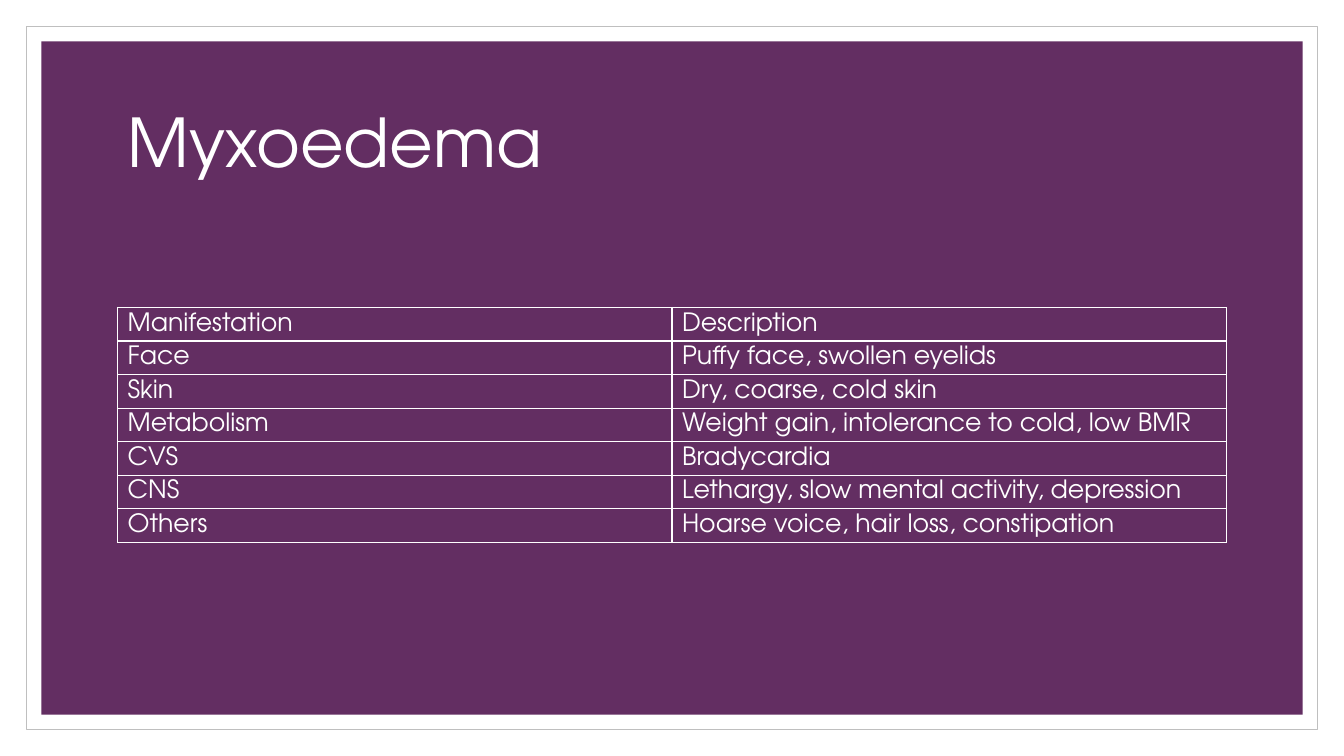
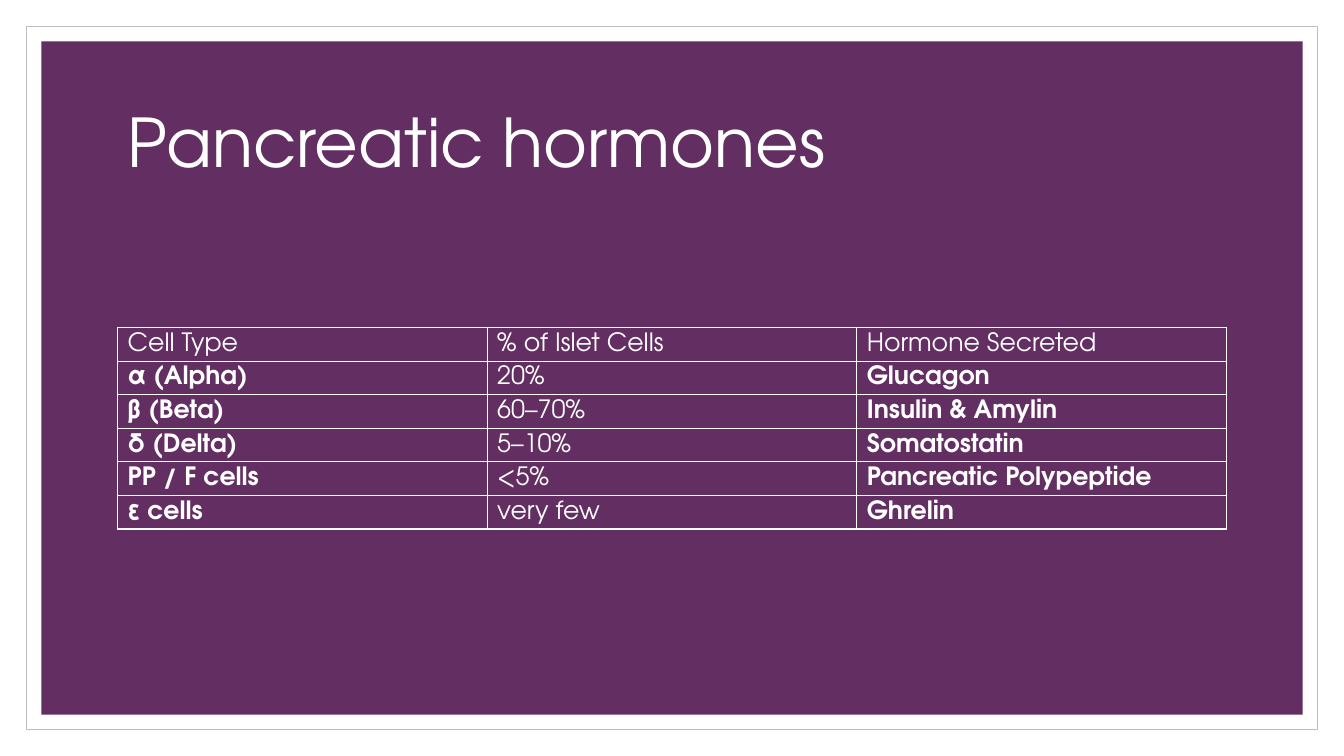
import lxml.etree
import pptx
import pptx.dml.color
import pptx.enum.shapes
import pptx.enum.text
import pptx.oxml.ns
import pptx.util

COLOURS = {"paper": "FFFFFF", "edge": "BFBFBF", "panel": "632E62", "text": "FFFFFF"}
COLUMNS, ROWS = 80, 45
MARGIN = 7
CONTENT_WIDTH = COLUMNS - 2 * MARGIN

MYXOEDEMA = [
    ("Manifestation", "Description"),
    ("Face", "Puffy face, swollen eyelids"),
    ("Skin", "Dry, coarse, cold skin"),
    ("Metabolism", "Weight gain, intolerance to cold, low BMR"),
    ("CVS", "Bradycardia"),
    ("CNS", "Lethargy, slow mental activity, depression"),
    ("Others", "Hoarse voice, hair loss, constipation"),
]
HORMONES = [
    ("Cell Type", "% of Islet Cells", "Hormone Secreted"),
    ("α (Alpha)", "20%", "Glucagon"),
    ("β (Beta)", "60–70%", "Insulin & Amylin"),
    ("δ (Delta)", "5–10%", "Somatostatin"),
    ("PP / F cells", "<5%", "Pancreatic Polypeptide"),
    ("ε cells", "very few", "Ghrelin"),
]


def grid(cells):
    """Turn a number of square grid cells, six to the inch, into a length."""
    return pptx.util.Inches(cells / 6)


def colour(name):
    return pptx.dml.color.RGBColor.from_string(COLOURS[name])


class Deck:
    font_name = "TeX Gyre Adventor"
    title_size, table_size = 48, 18
    table_centre, row_height, row_share = 26.7, 2, 2.4

    def __init__(self):
        self.presentation = pptx.Presentation()
        self.presentation.slide_width = grid(COLUMNS)
        self.presentation.slide_height = grid(ROWS)
        self.slide = None

    def add_slide(self, heading):
        """Start a slide with its frame, panel and title."""
        blank = self.presentation.slide_layouts[6]
        self.slide = self.presentation.slides.add_slide(blank)
        self.add_panel(1.56, "paper", "edge")
        self.add_panel(2.46, "panel")
        self.add_title(heading)

    def add_panel(self, inset, fill, edge=None):
        """Draw a rectangle the same distance from every slide edge."""
        panel = self.slide.shapes.add_shape(
            pptx.enum.shapes.MSO_SHAPE.RECTANGLE, grid(inset), grid(inset),
            grid(COLUMNS - 2 * inset), grid(ROWS - 2 * inset))
        panel.shadow.inherit = False
        panel.fill.solid()
        panel.fill.fore_color.rgb = colour(fill)
        if edge:
            panel.line.color.rgb = colour(edge)
            panel.line.width = pptx.util.Pt(0.5)
        else:
            panel.line.fill.background()

    def style(self, paragraph, size, bold=False):
        paragraph.font.name = self.font_name
        paragraph.font.size = pptx.util.Pt(size)
        paragraph.font.bold = bold
        paragraph.font.color.rgb = colour("text")

    def add_title(self, heading):
        title = self.slide.shapes.add_textbox(
            grid(MARGIN), grid(4.2), grid(CONTENT_WIDTH), grid(9)).text_frame
        title.word_wrap = True
        title.vertical_anchor = pptx.enum.text.MSO_ANCHOR.MIDDLE
        title.text = heading
        title.paragraphs[0].line_spacing = 0.9
        self.style(title.paragraphs[0], self.title_size)

    def add_table(self, entries, bold_columns=()):
        """Add a table of equal columns; bold_columns are bold below the header."""
        row_count, column_count = len(entries), len(entries[0])
        top = self.table_centre - row_count * self.row_share / 2
        table = self.slide.shapes.add_table(
            row_count, column_count, grid(MARGIN), grid(top),
            grid(CONTENT_WIDTH), grid(row_count * self.row_height)).table
        table.first_row = table.horz_banding = False
        for row, entry in enumerate(entries):
            for column, wording in enumerate(entry):
                cell = table.cell(row, column)
                cell.text = wording
                cell.margin_top = cell.margin_bottom = 0
                cell.vertical_anchor = pptx.enum.text.MSO_ANCHOR.MIDDLE
                self.style(cell.text_frame.paragraphs[0], self.table_size,
                           row > 0 and column in bold_columns)
                self.add_borders(cell)
                cell.fill.background()

    def add_borders(self, cell):
        qn = pptx.oxml.ns.qn
        properties = cell._tc.get_or_add_tcPr()
        for side in ("a:lnL", "a:lnR", "a:lnT", "a:lnB"):
            border = lxml.etree.SubElement(properties, qn(side), w=str(pptx.util.Pt(1)))
            fill = lxml.etree.SubElement(border, qn("a:solidFill"))
            lxml.etree.SubElement(fill, qn("a:srgbClr"), val=COLOURS["text"])


def main():
    deck = Deck()
    deck.add_slide("Myxoedema")
    deck.add_table(MYXOEDEMA)
    deck.add_slide("Pancreatic hormones")
    deck.add_table(HORMONES, bold_columns=(0, 2))
    deck.presentation.save("out.pptx")


if __name__ == "__main__":
    main()
